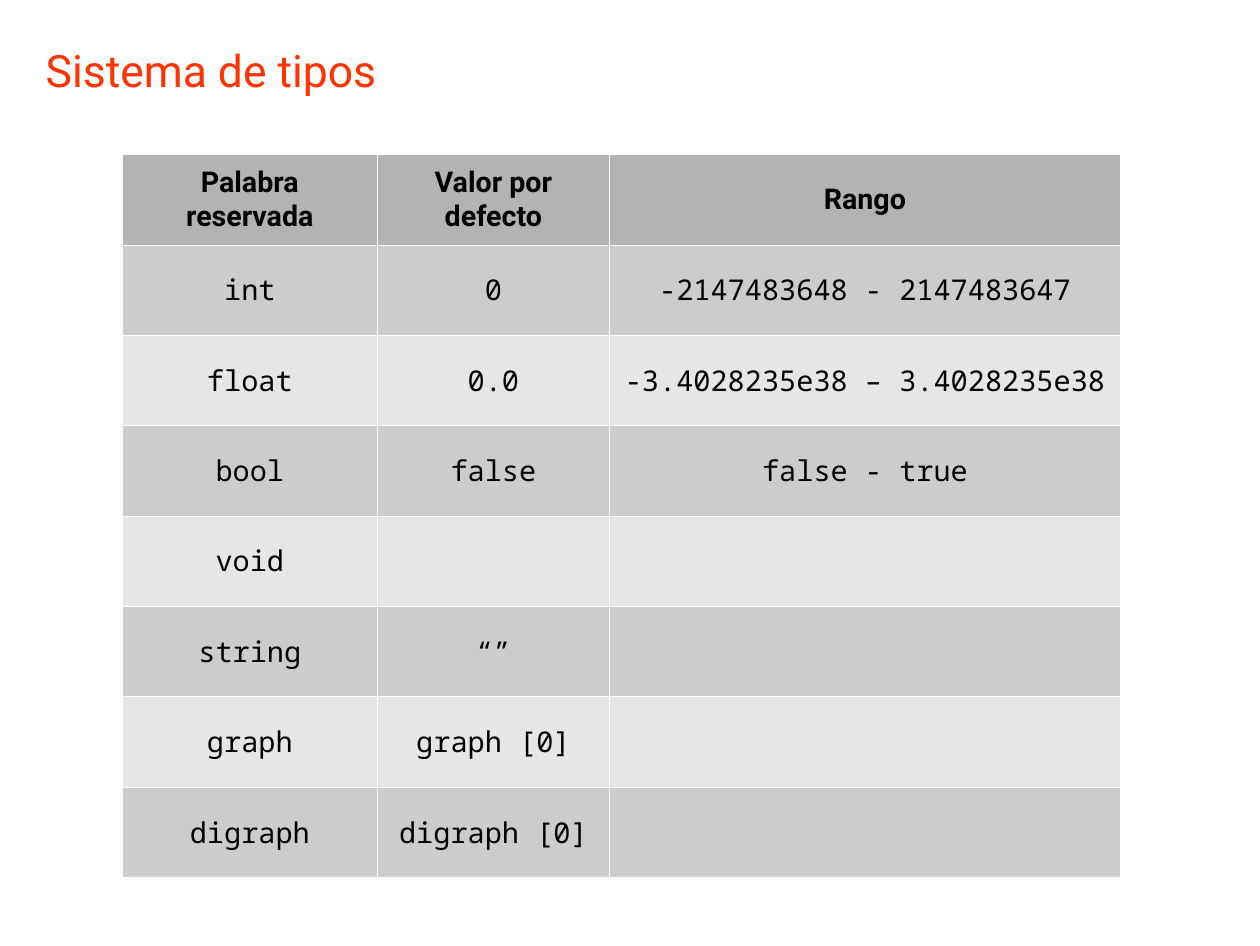
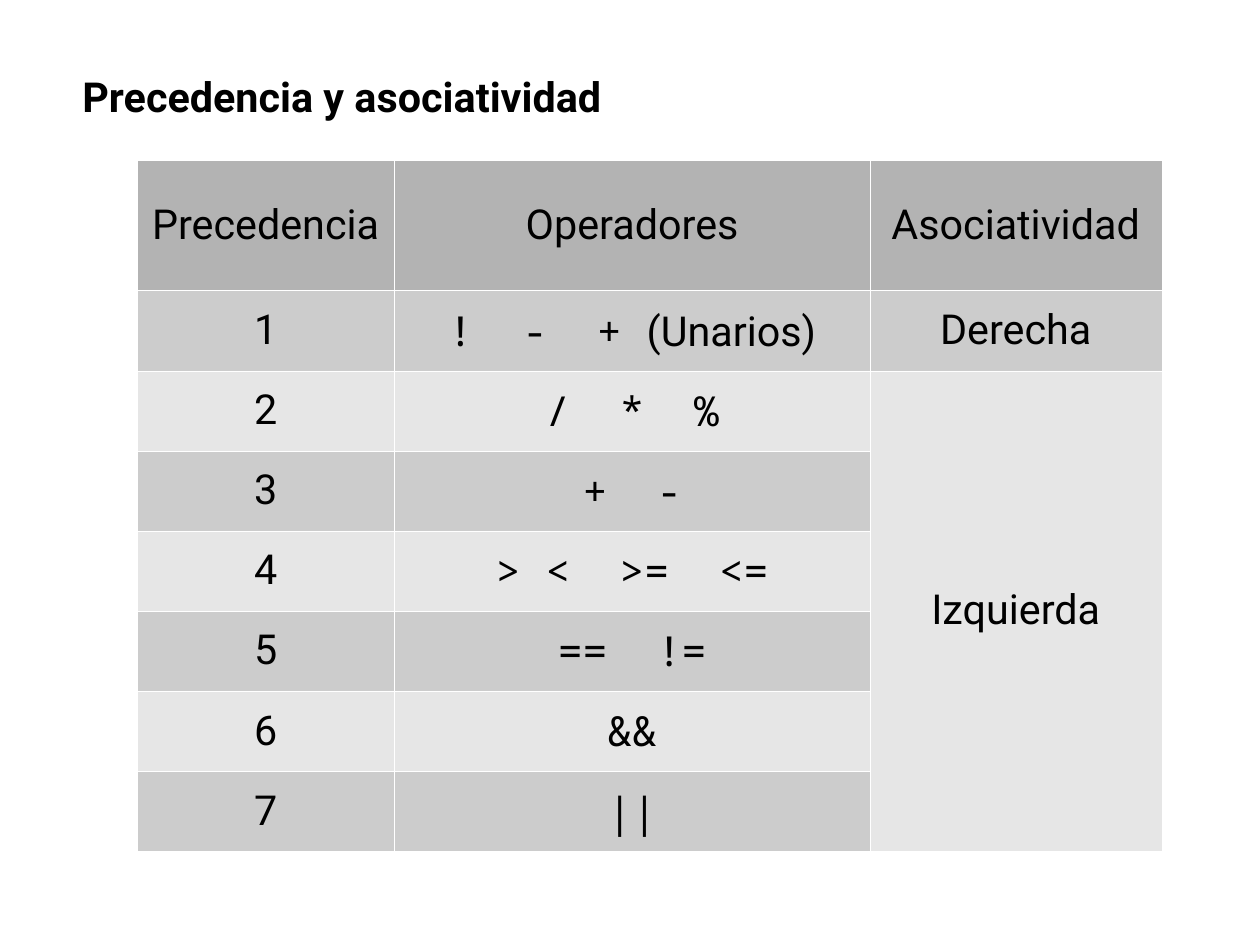
from lxml.etree import SubElement
from pptx import Presentation
from pptx.dml.color import RGBColor
from pptx.enum.text import MSO_ANCHOR, MSO_AUTO_SIZE, PP_ALIGN
from pptx.oxml.ns import qn
from pptx.util import Inches, Pt

COLORS = {
    "accent": "FF3300",
    "text": "000000",
    "border": "FFFFFF",
    "header": "B3B3B3",
    "odd": "CCCCCC",
    "even": "E6E6E6",
}
SANS, MONO = "Roboto", "Noto Sans Mono"
BORDER_WIDTH = Pt(0.06)
TITLE_ONLY = 5

# A cell is a string, or a list of (text, font) runs.
SLIDES = [
    {
        "title": "Sistema de tipos",
        "title_box": (0.3, 0.33, 10.3, 0.67),
        "title_format": {"size": 28, "color": "accent"},
        "origin": (1.07, 1.35),
        "columns": [2.23, 2.03, 4.47],
        "header_height": 0.79,
        "row_height": 0.79,
        "size": 18,
        "header_bold": True,
        "mono_columns": (0, 1, 2),
        "merge": None,
        "header": ["Palabra reservada", "Valor por defecto", "Rango"],
        "rows": [
            ["int", "0", "-2147483648 - 2147483647"],
            ["float", "0.0", "-3.4028235e38 – 3.4028235e38"],
            ["bool", "false", "false - true"],
            ["void", "", ""],
            ["string", "“”", ""],
            ["graph", "graph [0]", ""],
            ["digraph", "digraph [0]", ""],
        ],
    },
    {
        "title": "Precedencia y asociatividad",
        "title_box": (0.62, 0.57, 7.78, 0.59),
        "title_format": {"size": 26, "bold": True},
        "origin": (1.2, 1.4),
        "columns": [2.25, 4.16, 2.55],
        "header_height": 1.14,
        "row_height": 0.7,
        "size": 26,
        "header_bold": False,
        "mono_columns": (1,),
        "merge": ((2, 2), (7, 2)),
        "header": ["Precedencia", "Operadores", "Asociatividad"],
        "rows": [
            ["1", [("!  -  + ", MONO), ("(Unarios)", SANS)], "Derecha"],
            ["2", "/  *  %", "Izquierda"],
            ["3", "+  -", ""],
            ["4", "> <  >=  <=", ""],
            ["5", "==  !=", ""],
            ["6", "&&", ""],
            ["7", "||", ""],
        ],
    },
]


def write(frame, text, font=SANS, size=18, color="text", bold=False,
          align=PP_ALIGN.LEFT):
    paragraph = frame.paragraphs[0]
    paragraph.alignment = align
    paragraph.font.size = Pt(size)
    runs = [(text, font)] if isinstance(text, str) else text
    for words, face in runs:
        if not words:
            continue
        run = paragraph.add_run()
        run.text = words
        run.font.name = face
        run.font.size = Pt(size)
        run.font.bold = bold
        run.font.color.rgb = RGBColor.from_string(COLORS[color])


def style_cell(cell, fill):
    cell.vertical_anchor = MSO_ANCHOR.MIDDLE
    cell.fill.solid()
    cell.fill.fore_color.rgb = RGBColor.from_string(COLORS[fill])
    properties = cell._tc.get_or_add_tcPr()
    for position, side in enumerate(("lnL", "lnR", "lnT", "lnB")):
        line = SubElement(properties, qn(f"a:{side}"), w=str(BORDER_WIDTH))
        solid = SubElement(line, qn("a:solidFill"))
        SubElement(solid, qn("a:srgbClr"), val=COLORS["border"])
        properties.insert(position, line)


def add_title(slide, content):
    title = slide.shapes.title
    title.left, title.top, title.width, title.height = map(
        Inches, content["title_box"])
    frame = title.text_frame
    frame.auto_size = MSO_AUTO_SIZE.NONE
    frame.word_wrap = True
    frame.vertical_anchor = MSO_ANCHOR.TOP
    write(frame, content["title"], **content["title_format"])


def add_grid(slide, content):
    rows = [content["header"]] + content["rows"]
    widths = content["columns"]
    heights = [content["header_height"]]
    heights += [content["row_height"]] * len(content["rows"])
    left, top = content["origin"]
    table = slide.shapes.add_table(
        len(rows), len(widths), Inches(left), Inches(top),
        Inches(sum(widths)), Inches(sum(heights))).table
    table.first_row = table.horz_banding = False
    for column, width in zip(table.columns, widths):
        column.width = Inches(width)
    for row, height in zip(table.rows, heights):
        row.height = Inches(height)

    for r, row in enumerate(rows):
        is_header = r == 0
        fill = "header" if is_header else "odd" if r % 2 else "even"
        for c, text in enumerate(row):
            cell = table.cell(r, c)
            style_cell(cell, fill)
            is_mono = not is_header and c in content["mono_columns"]
            write(cell.text_frame, text, font=MONO if is_mono else SANS,
                  size=content["size"], align=PP_ALIGN.CENTER,
                  bold=is_header and content["header_bold"])
    if content["merge"]:
        first, last = content["merge"]
        table.cell(*first).merge(table.cell(*last))


def main():
    deck = Presentation()
    deck.slide_width, deck.slide_height = Inches(11.02), Inches(8.27)
    for content in SLIDES:
        slide = deck.slides.add_slide(deck.slide_layouts[TITLE_ONLY])
        add_title(slide, content)
        add_grid(slide, content)
    deck.save("out.pptx")


if __name__ == "__main__":
    main()
